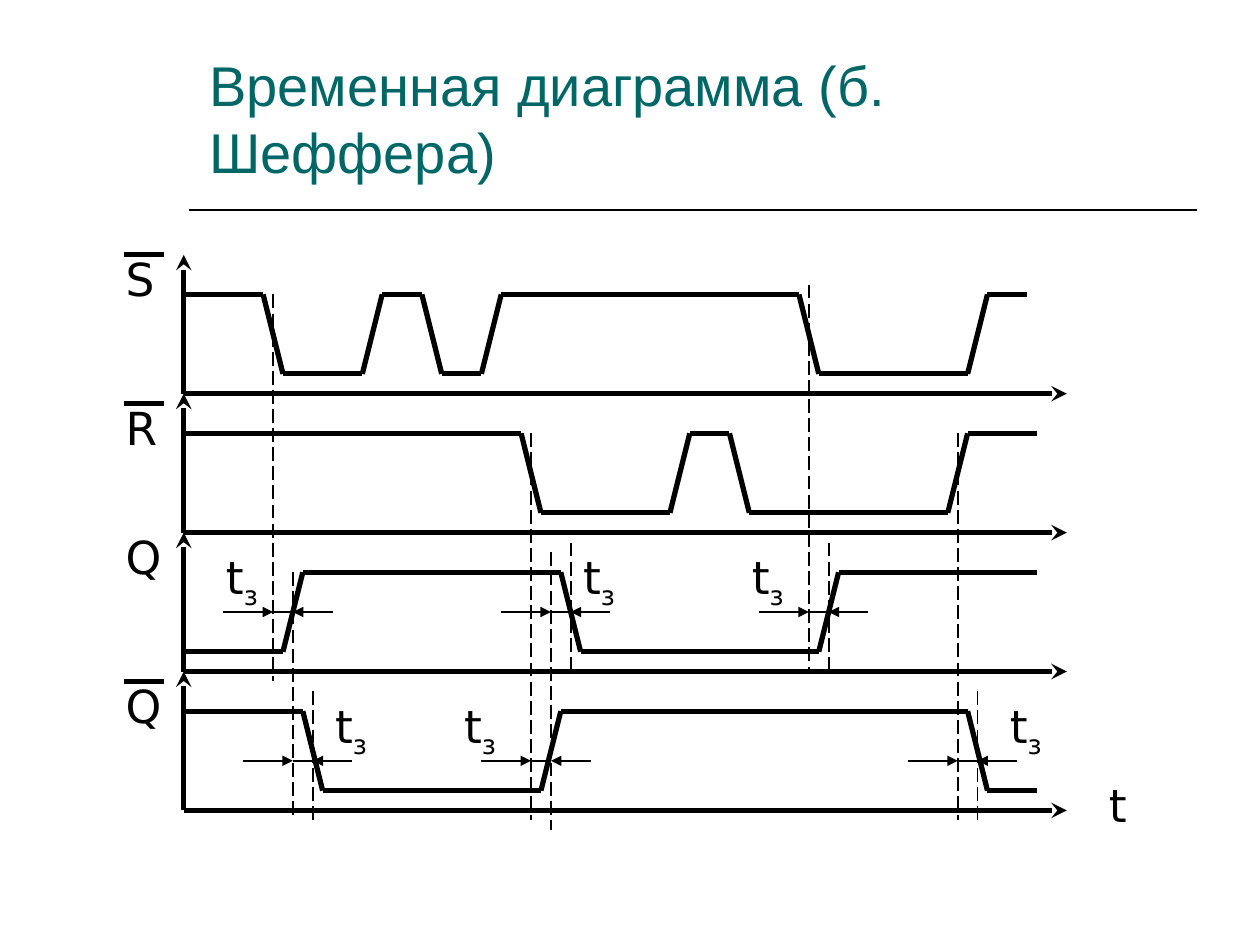
from pptx import Presentation
from pptx.dml.color import RGBColor
from pptx.enum.dml import MSO_LINE
from pptx.enum.shapes import MSO_CONNECTOR as CONNECTOR
from pptx.enum.text import MSO_ANCHOR as ANCHOR, MSO_AUTO_SIZE as AUTO_SIZE, PP_ALIGN as ALIGN
from pptx.oxml.ns import qn
from pptx.util import Pt
from lxml.etree import SubElement

# The diagram lies on a square grid that starts at the top of the first vertical axis.
LEFT, TOP, STEP = 105, 145.6, 5.67
ROW_STEPS = 14
HIGH, LOW = 4, 12          # signal levels, in steps below the top of a row
AXIS_END = 89

# name, negated, name top, starts high, middles of the edges, end
SIGNALS = [
    ("S", True, -1, True, [9, 19, 25, 31, 63, 80], 85),
    ("R", True, 14, True, [35, 50, 56, 78], 86),
    ("Q", False, 27, False, [11, 39, 65], 86),
    ("Q", True, 42, True, [13, 37, 80], 86),
]
# x, top, bottom
GUIDES = [
    (9, 4, 43), (11, 32, 57), (13, 44, 57), (35, 18, 57), (37, 30, 58),
    (39, 29, 42), (63, 3, 42), (65, 29, 42), (78, 18, 57), (80, 44, 57),
]
# y of the arrows, then (start of the delay, left of its label)
DELAYS = {
    36: [(9, 3), (37, 39), (63, 56)],
    51: [(11, 14), (35, 27), (78, 82)],
}


def color(value):
    return RGBColor.from_string(value)


def grid(x, y):
    return LEFT + x * STEP, TOP + y * STEP


class TimingSlide:
    ink = "000000"
    title_ink = "006666"
    title_font = "Arial"
    label_font = "DejaVu Sans"
    title_size, label_size = 32, 26
    thick, thin = 3, 1

    def __init__(self, deck):
        self.page = deck.slides.add_slide(deck.slide_layouts[5])

    def span(self, para, text, font, size, ink):
        span = para.add_run()
        span.text = text
        span.font.name = font
        span.font.size = Pt(size)
        span.font.color.rgb = color(ink)
        return span

    def title(self, text, left, top, width, height):
        box = self.page.shapes.title
        box.left, box.top, box.width, box.height = map(Pt, (left, top, width, height))
        frame = box.text_frame
        frame.word_wrap = True
        frame.auto_size = AUTO_SIZE.NONE
        frame.vertical_anchor = ANCHOR.BOTTOM
        para = frame.paragraphs[0]
        para.alignment = ALIGN.LEFT
        self.span(para, text, self.title_font, self.title_size, self.title_ink)

    def line(self, start, end, weight, arrow=None, dashed=False):
        line = self.page.shapes.add_connector(CONNECTOR.STRAIGHT, *map(Pt, (*start, *end)))
        line.line.width = Pt(weight)
        line.line.color.rgb = color(self.ink)
        if dashed:
            line.line.dash_style = MSO_LINE.LONG_DASH
        properties = line._element.spPr
        if arrow:
            SubElement(properties.find(qn("a:ln")), qn("a:tailEnd"), type=arrow)
        SubElement(properties, qn("a:effectLst"))

    def label(self, x, y, text, subscript="", height=39):
        left, top = grid(x, y)
        box = self.page.shapes.add_textbox(Pt(left), Pt(top), Pt(51), Pt(height))
        box.text_frame.word_wrap = True
        para = box.text_frame.paragraphs[0]
        self.span(para, text, self.label_font, self.label_size, self.ink)
        if subscript:
            lowered = self.span(para, subscript, self.label_font, self.label_size, self.ink)
            lowered._r.get_or_add_rPr().set("baseline", "-25000")

    def axes(self, row):
        top, bottom = row * ROW_STEPS, (row + 1) * ROW_STEPS
        self.line(grid(0, bottom), grid(0, top), self.thick, "stealth")
        self.line(grid(0, bottom), grid(AXIS_END, bottom), self.thick, "stealth")

    def wave(self, row, starts_high, edges, end):
        """Draw a signal that changes level at each edge, one step either side of its middle."""
        top = row * ROW_STEPS
        level, other = (HIGH, LOW) if starts_high else (LOW, HIGH)
        points = [grid(0, top + level)]
        for middle in edges:
            points += [grid(middle - 1, top + level), grid(middle + 1, top + other)]
            level, other = other, level
        points.append(grid(end, top + level))
        for start, stop in zip(points, points[1:]):
            self.line(start, stop, self.thick)

    def delay(self, x, y, label_x):
        """Mark a two-step delay between two arrows that point inwards."""
        self.line(grid(x - 5, y), grid(x, y), self.thin, "triangle")
        self.line(grid(x, y), grid(x + 2, y), self.thin)
        self.line(grid(x + 6, y), grid(x + 2, y), self.thin, "triangle")
        self.label(label_x, y - 7, "t", "з", 43)


def main():
    deck = Presentation()
    deck.slide_width, deck.slide_height = Pt(720), Pt(540)
    slide = TimingSlide(deck)
    slide.title("Временная диаграмма (б. Шеффера)", 112.3, 28, 567, 81.4)
    slide.line((108, 120), (684, 120), slide.thin)

    for row, (name, negated, name_top, starts_high, edges, end) in enumerate(SIGNALS):
        slide.axes(row)
        slide.wave(row, starts_high, edges, end)
        slide.label(-7.1, name_top, name)
        if negated:
            slide.line(grid(-6, name_top + 1), grid(-2, name_top + 1), slide.thick)
    slide.label(92, 52, "t")

    for x, top, bottom in GUIDES:
        slide.line(grid(x, top), grid(x, bottom), slide.thin, dashed=True)
    for y, delays in DELAYS.items():
        for x, label_x in delays:
            slide.delay(x, y, label_x)
    deck.save("out.pptx")


if __name__ == "__main__":
    main()
